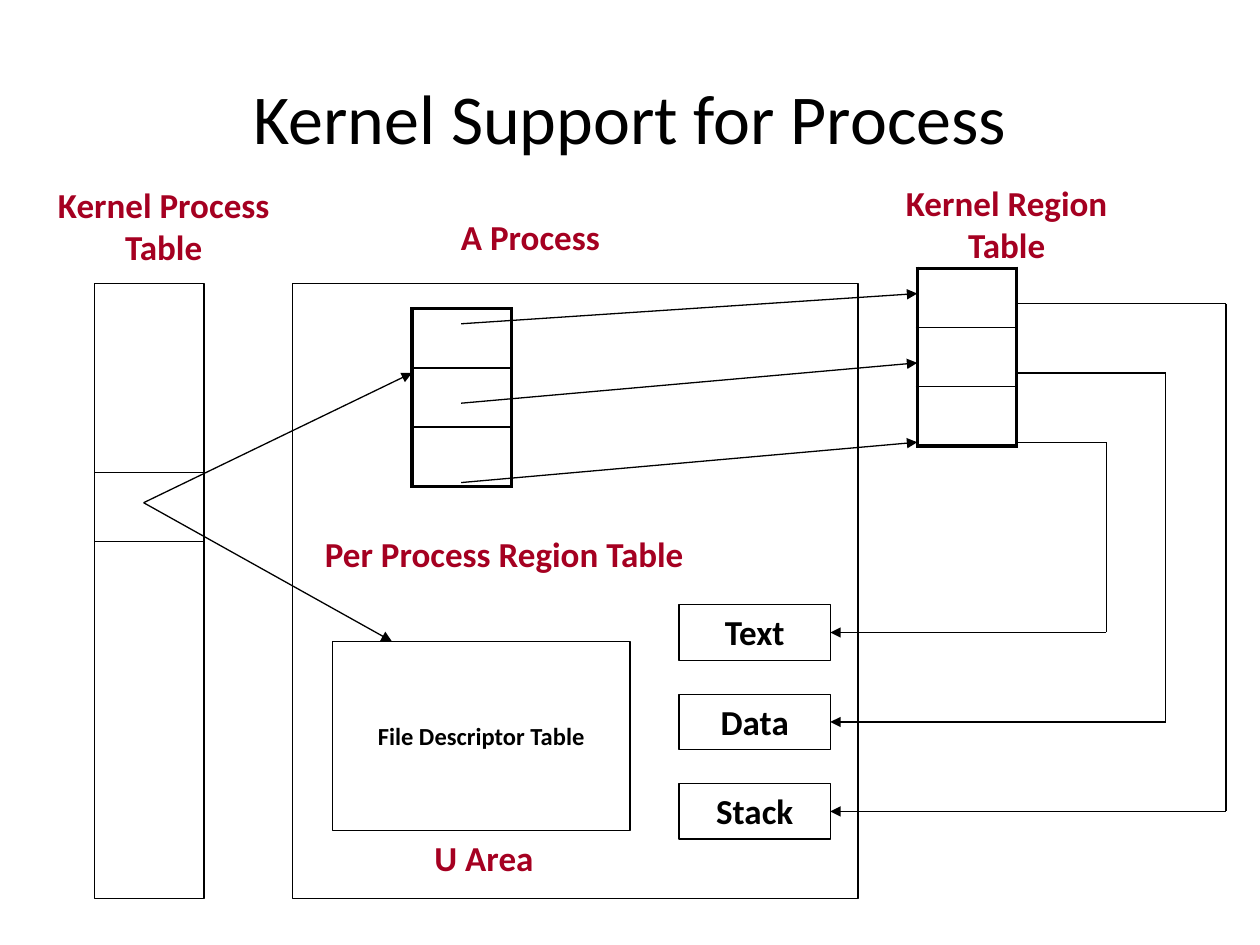
from dataclasses import dataclass

from lxml import etree
from pptx import Presentation
from pptx.dml.color import RGBColor
from pptx.enum.shapes import MSO_CONNECTOR, MSO_SHAPE
from pptx.enum.text import MSO_ANCHOR, PP_ALIGN
from pptx.oxml.ns import qn
from pptx.util import Inches, Pt

RECTANGLE = MSO_SHAPE.RECTANGLE
STRAIGHT = MSO_CONNECTOR.STRAIGHT
LEFT, CENTER = PP_ALIGN.LEFT, PP_ALIGN.CENTER
TOP, MIDDLE = MSO_ANCHOR.TOP, MSO_ANCHOR.MIDDLE
RIGHT_SIDE = 3


@dataclass(frozen=True)
class Theme:
    font: str = "Calibri"
    ink: str = "000000"
    accent: str = "A50021"
    title_size: int = 40
    label_size: int = 20
    small_size: int = 14
    thin: float = 0.75
    inner: float = 1
    thick: float = 2.25


THEME = Theme()


def write_text(shape, text, *, size=THEME.label_size, color=THEME.ink, bold=True,
               align=CENTER, anchor=TOP, wrap=True):
    frame = shape.text_frame
    frame.word_wrap = wrap
    frame.vertical_anchor = anchor
    paragraph = frame.paragraphs[0]
    paragraph.alignment = align
    run = paragraph.add_run()
    run.text = text
    run.font.name = THEME.font
    run.font.size = Pt(size)
    run.font.bold = bold
    run.font.color.rgb = RGBColor.from_string(color)


def add_label(slide, box, text, **text_format):
    shape = slide.shapes.add_textbox(*map(Inches, box))
    write_text(shape, text, **text_format)


def add_box(slide, box, text="", **text_format):
    shape = slide.shapes.add_shape(RECTANGLE, *map(Inches, box))
    shape.shadow.inherit = False
    shape.fill.background()
    shape.line.color.rgb = RGBColor.from_string(THEME.ink)
    shape.line.width = Pt(THEME.thin)
    if text:
        write_text(shape, text, **text_format)
    return shape


def add_line(slide, start, end, arrow=False, target=None):
    """Draw a line; target is a box whose right side the line joins."""
    connector = slide.shapes.add_connector(STRAIGHT, *map(Inches, (*start, *end)))
    connector.line.color.rgb = RGBColor.from_string(THEME.ink)
    connector.line.width = Pt(THEME.thin)
    if arrow:
        line = connector.line._get_or_add_ln()
        etree.SubElement(line, qn("a:tailEnd"), type="triangle")
    etree.SubElement(connector._element.spPr, qn("a:effectLst"))
    if target is not None:
        connector.end_connect(target, RIGHT_SIDE)


def add_route(slide, points, target):
    """Draw a chain of lines whose last one has an arrow into target."""
    *plain, last = zip(points, points[1:])
    for start, end in plain:
        add_line(slide, start, end)
    add_line(slide, *last, arrow=True, target=target)


def set_borders(cell, widths):
    properties = cell._tc.get_or_add_tcPr()
    for side, width in widths.items():
        border = etree.SubElement(properties, qn(f"a:ln{side}"), w=str(Pt(width)))
        fill = etree.SubElement(border, qn("a:solidFill"))
        etree.SubElement(fill, qn("a:srgbClr"), val=THEME.ink)


def add_region_table(slide, left, top, width=0.79, row_height=0.47, rows=3):
    frame = slide.shapes.add_table(rows, 1, *map(Inches, (left, top, width, row_height * rows)))
    table = frame.table
    table.first_row = table.horz_banding = False
    for index in range(rows):
        cell = table.cell(index, 0)
        set_borders(cell, {
            "L": THEME.thick,
            "R": THEME.thick,
            "T": THEME.thick if index == 0 else THEME.inner,
            "B": THEME.thick if index == rows - 1 else THEME.inner,
        })
        cell.fill.background()


def main():
    presentation = Presentation()
    presentation.slide_width, presentation.slide_height = Inches(10), Inches(7.5)
    slide = presentation.slides.add_slide(presentation.slide_layouts[6])

    add_label(slide, (0.5, 0.3, 9, 1.25), "Kernel Support for Process",
              size=THEME.title_size, bold=False, anchor=MIDDLE)

    add_region_table(slide, 3.27, 2.45)
    add_box(slide, (0.75, 2.25, 0.87, 4.88))
    add_box(slide, (2.32, 2.25, 4.49, 4.88))
    add_region_table(slide, 7.28, 2.13)
    add_box(slide, (2.64, 5.09, 2.36, 1.5), "File Descriptor Table",
            size=THEME.small_size, anchor=MIDDLE, wrap=False)

    for y in (3.75, 4.3):
        add_line(slide, (0.75, y), (1.62, y))
    for end in ((3.27, 2.96), (3.11, 5.09)):
        add_line(slide, (1.14, 3.99), end, arrow=True)
    for start_y, end_y in ((2.57, 2.33), (3.2, 2.88), (3.83, 3.51)):
        add_line(slide, (3.66, start_y), (7.28, end_y), arrow=True)

    region_left, region_width, region_height = 5.39, 1.2, 0.44
    region_right = region_left + region_width
    regions = (("Text", 3.51, 8.78), ("Data", 2.96, 9.25), ("Stack", 2.41, 9.73))
    for index, (name, start_y, turn_x) in enumerate(regions):
        top = 4.8 + 0.71 * index
        middle = top + region_height / 2
        region = add_box(slide, (region_left, top, region_width, region_height), name)
        add_route(slide, [(8.07, start_y), (turn_x, start_y),
                          (turn_x, middle), (region_right, middle)], region)

    headings = (
        ("Kernel Process Table", (0.12, 1.41, 2.36, 0.77)),
        ("Kernel Region Table", (6.81, 1.39, 2.36, 0.77)),
        ("A Process", (3.03, 1.66, 2.36, 0.43)),
    )
    for text, box in headings:
        add_label(slide, box, text, color=THEME.accent)
    captions = (
        ("Per Process Region Table", (2.48, 4.18, 3.63, 0.43)),
        ("U Area", (3.35, 6.59, 1.1, 0.43)),
    )
    for text, box in captions:
        add_label(slide, box, text, color=THEME.accent, align=LEFT, wrap=False)

    presentation.save("out.pptx")


if __name__ == "__main__":
    main()
